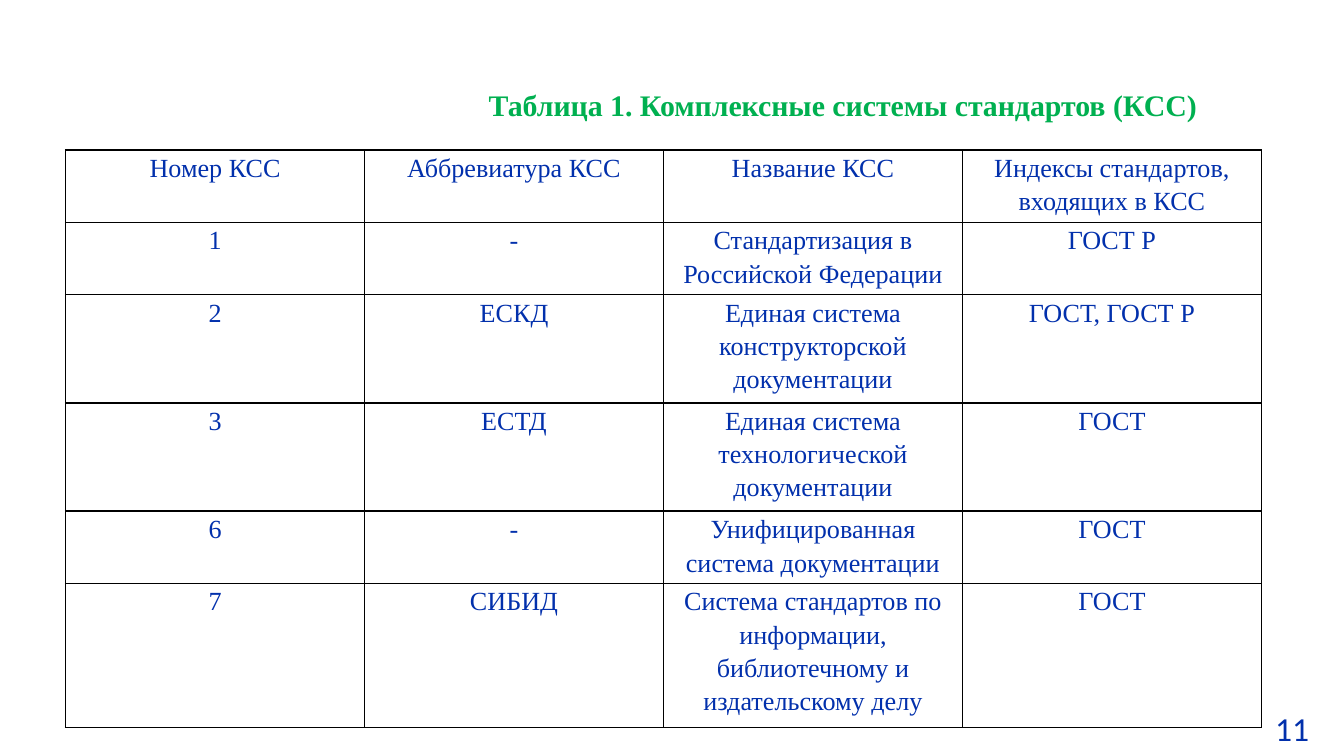
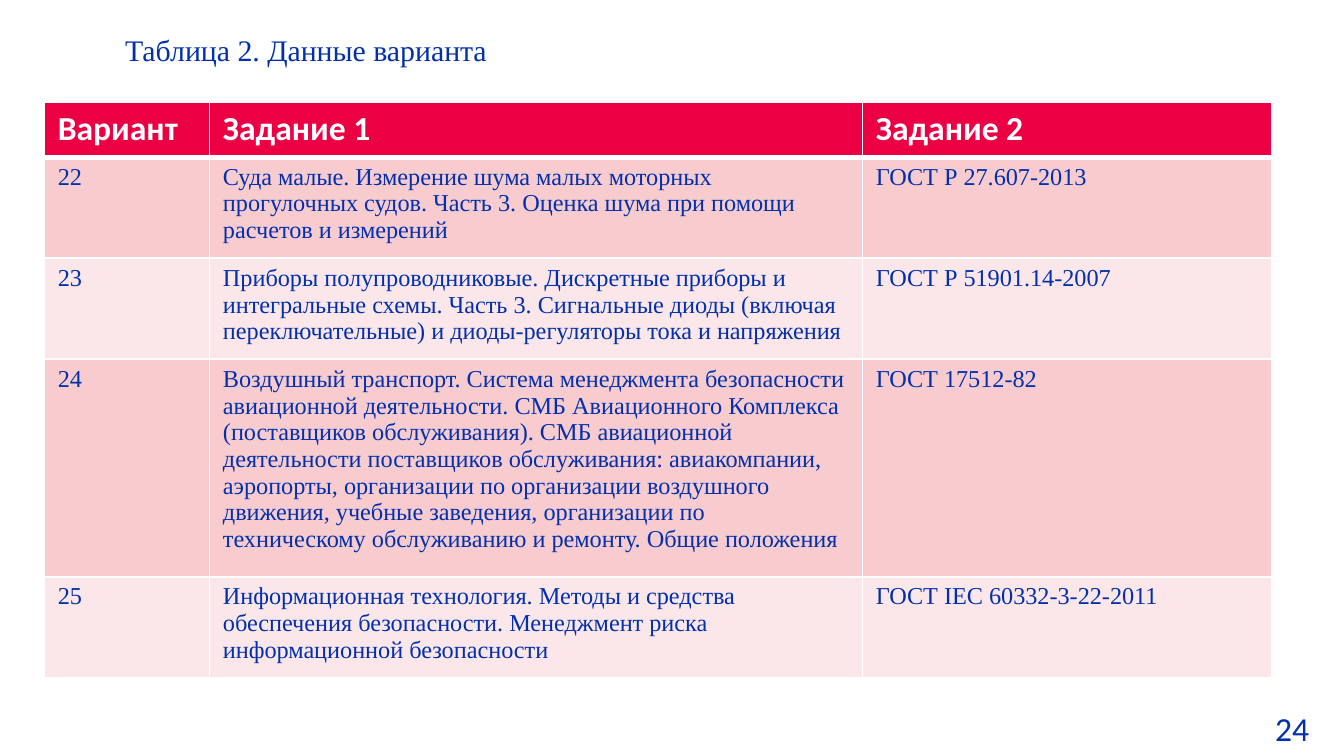
from dataclasses import dataclass

from lxml.etree import SubElement
from pptx import Presentation
from pptx.dml.color import RGBColor
from pptx.enum.text import MSO_ANCHOR, MSO_AUTO_SIZE, PP_ALIGN
from pptx.oxml.ns import qn
from pptx.util import Cm, Pt


@dataclass(frozen=True)
class Theme:
    blue: str = "0230AC"
    green: str = "00B050"
    red: str = "EC0044"
    pink: str = "F8CCCF"
    pale: str = "FBE7E9"
    black: str = "000000"
    white: str = "FFFFFF"
    serif: str = "Times New Roman"
    sans: str = "Calibri"
    title_size: int = 16
    large_size: int = 18
    system_size: int = 14
    variant_size: int = 13


THEME = Theme()

SYSTEMS_TITLE = "Таблица 1. Комплексные системы стандартов (КСС)"
SYSTEMS = [
    ("Номер КСС", "Аббревиатура КСС", "Название КСС", "Индексы стандартов, входящих в КСС"),
    ("1", "-", "Стандартизация в Российской Федерации", "ГОСТ Р"),
    ("2", "ЕСКД", "Единая система конструкторской документации", "ГОСТ, ГОСТ Р"),
    ("3", "ЕСТД", "Единая система технологической документации", "ГОСТ"),
    ("6", "-", "Унифицированная система документации", "ГОСТ"),
    ("7", "СИБИД", "Система стандартов по информации, библиотечному и издательскому делу", "ГОСТ"),
]
SYSTEM_COLUMNS = [5.65] * 4
SYSTEM_ROWS = [1.36, 1.36, 2.05, 2.05, 1.36, 2.72]

VARIANTS_TITLE = "Таблица 2. Данные варианта"
VARIANTS = [
    ("Вариант", "Задание 1", "Задание 2"),
    ("22",
     "Суда малые. Измерение шума малых моторных прогулочных судов. "
     "Часть 3. Оценка шума при помощи расчетов и измерений",
     "ГОСТ Р 27.607-2013"),
    ("23",
     "Приборы полупроводниковые. Дискретные приборы и интегральные схемы. "
     "Часть 3. Сигнальные диоды (включая переключательные) "
     "и диоды-регуляторы тока и напряжения",
     "ГОСТ Р 51901.14-2007"),
    ("24",
     "Воздушный транспорт. Система менеджмента безопасности авиационной деятельности. "
     "СМБ Авиационного Комплекса (поставщиков обслуживания). "
     "СМБ авиационной деятельности поставщиков обслуживания: авиакомпании, аэропорты, "
     "организации по организации воздушного движения, учебные заведения, "
     "организации по техническому обслуживанию и ремонту. Общие положения",
     "ГОСТ 17512-82"),
    ("25",
     "Информационная технология. Методы и средства обеспечения безопасности. "
     "Менеджмент риска информационной безопасности",
     "ГОСТ IEC 60332-3-22-2011"),
]
VARIANT_COLUMNS = [3.12, 12.34, 7.73]
VARIANT_ROWS = [1.04, 1.91, 1.91, 4.1, 1.91]


def write(paragraph, text, size, color=THEME.blue, font=THEME.serif, bold=False):
    run = paragraph.add_run()
    run.text = text
    run.font.size = Pt(size)
    run.font.name = font
    run.font.bold = bold
    run.font.color.rgb = RGBColor.from_string(color)


def place(shape, left, top, width, height):
    shape.left, shape.top, shape.width, shape.height = map(Cm, (left, top, width, height))


def add_page(deck, title, box, number, align, margin, indent, spacing=1.0, **style):
    """Add a slide with its title and page number; lengths are in centimetres."""
    slide = deck.slides.add_slide(deck.slide_layouts[5])
    heading = slide.shapes.title
    place(heading, *box)
    frame = heading.text_frame
    frame.word_wrap = True
    frame.auto_size = MSO_AUTO_SIZE.SHAPE_TO_FIT_TEXT
    frame.vertical_anchor = MSO_ANCHOR.TOP
    paragraph = frame.paragraphs[0]
    paragraph.alignment = align
    paragraph.line_spacing = spacing
    properties = paragraph._p.get_or_add_pPr()
    properties.set("marL", str(Cm(margin)))
    properties.set("indent", str(Cm(indent)))
    write(paragraph, title, THEME.title_size, **style)

    page = slide.shapes.add_textbox(Cm(23.85), Cm(13.26), Cm(1.5), Cm(1.02))
    page.text_frame.word_wrap = True
    write(page.text_frame.paragraphs[0], number, THEME.large_size, font=THEME.sans)
    return slide


def border(cell, color, **widths):
    """Draw the cell's edges; widths in points are keyed L, R, T and B."""
    properties = cell._tc.get_or_add_tcPr()
    for position, side in enumerate("LRTB"):
        line = SubElement(properties, qn(f"a:ln{side}"), w=str(Pt(widths.get(side, 1))))
        fill = SubElement(line, qn("a:solidFill"))
        SubElement(fill, qn("a:srgbClr"), val=color)
        properties.insert(position, line)


def add_grid(slide, records, left, top, columns, rows):
    """Add a plain table and return its cells with their row numbers and texts."""
    frame = slide.shapes.add_table(len(rows), len(columns), Cm(left), Cm(top),
                                   Cm(sum(columns)), Cm(sum(rows)))
    table = frame.table
    table.first_row = table.horz_banding = False
    for column, width in zip(table.columns, columns):
        column.width = Cm(width)
    for row, height in zip(table.rows, rows):
        row.height = Cm(height)
    return [(r, table.cell(r, c), text)
            for r, record in enumerate(records) for c, text in enumerate(record)]


def add_systems(deck):
    slide = add_page(deck, SYSTEMS_TITLE, (1.24, 1.45, 21.64, 0.97), "11",
                     PP_ALIGN.RIGHT, 0, 1.27, 1.1, color=THEME.green, bold=True)
    for _, cell, text in add_grid(slide, SYSTEMS, 1.24, 2.84, SYSTEM_COLUMNS, SYSTEM_ROWS):
        cell.fill.background()
        cell.margin_left = cell.margin_right = Cm(0.18)
        cell.margin_top = cell.margin_bottom = 0
        border(cell, THEME.black)
        paragraph = cell.text_frame.paragraphs[0]
        paragraph.alignment = PP_ALIGN.CENTER
        paragraph.line_spacing = 1.15
        write(paragraph, text, THEME.system_size)


def add_variants(deck):
    slide = add_page(deck, VARIANTS_TITLE, (0.84, 0.48, 23.19, 0.94), "24",
                     PP_ALIGN.JUSTIFY, 2.24, -0.97)
    for r, cell, text in add_grid(slide, VARIANTS, 0.84, 1.93, VARIANT_COLUMNS, VARIANT_ROWS):
        fill = THEME.red if r == 0 else (THEME.pale, THEME.pink)[r % 2]
        cell.fill.solid()
        cell.fill.fore_color.rgb = RGBColor.from_string(fill)
        border(cell, THEME.white, T=3 if r == 1 else 1, B=3 if r == 0 else 1)
        paragraph = cell.text_frame.paragraphs[0]
        if r == 0:
            write(paragraph, text, THEME.large_size, THEME.white, THEME.sans, bold=True)
        else:
            write(paragraph, text, THEME.variant_size)


def main():
    deck = Presentation()
    deck.slide_width, deck.slide_height = Cm(25.4), Cm(14.29)
    add_systems(deck)
    add_variants(deck)
    deck.save("out.pptx")


if __name__ == "__main__":
    main()
